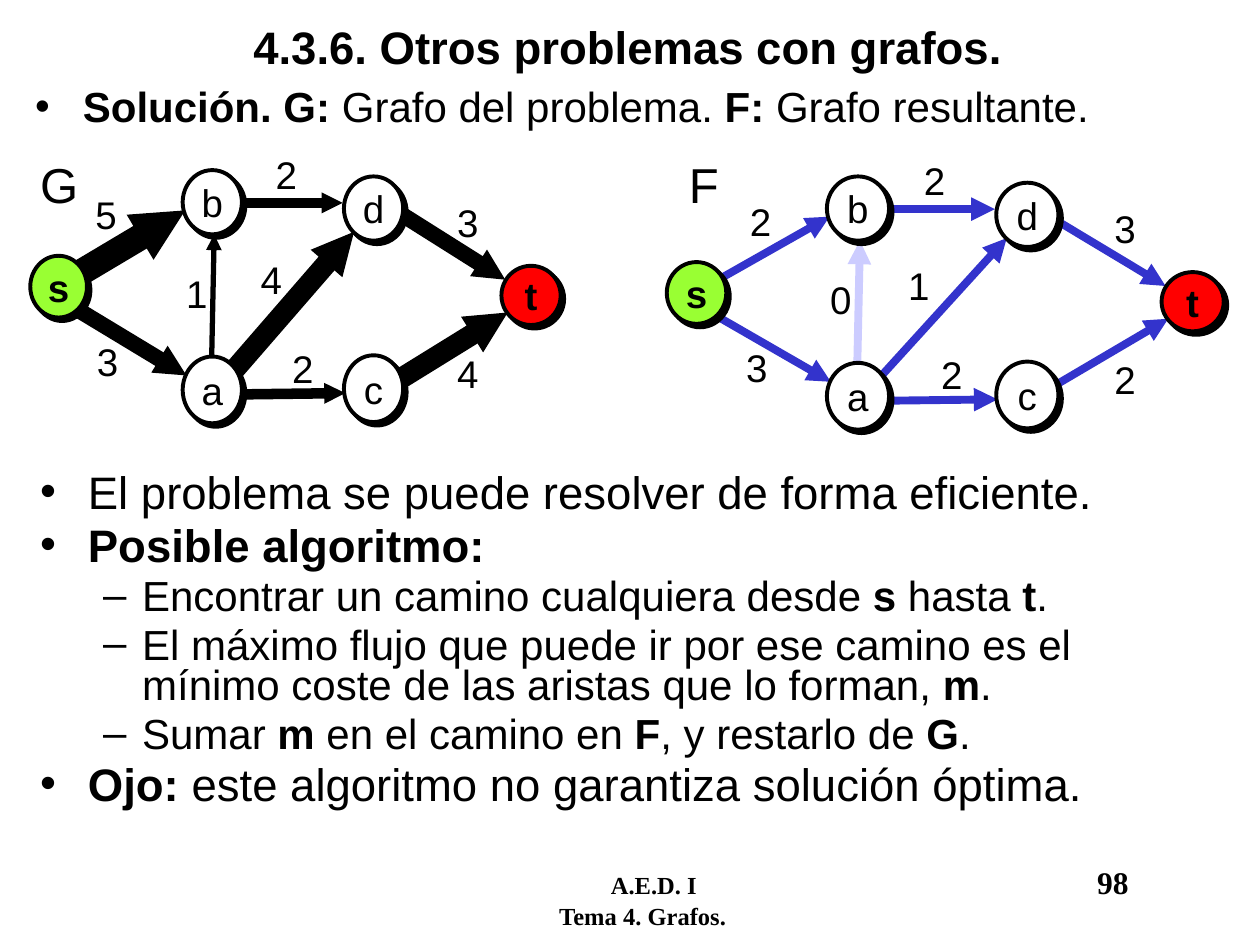
from dataclasses import dataclass

from lxml import etree
from pptx import Presentation
from pptx.dml.color import RGBColor
from pptx.enum.shapes import MSO_CONNECTOR, MSO_SHAPE
from pptx.enum.text import MSO_ANCHOR, PP_ALIGN
from pptx.oxml.ns import qn
from pptx.util import Inches, Pt

STRAIGHT, OVAL = MSO_CONNECTOR.STRAIGHT, MSO_SHAPE.OVAL
MIDDLE, TOP = MSO_ANCHOR.MIDDLE, MSO_ANCHOR.TOP
CENTER, LEFT = PP_ALIGN.CENTER, PP_ALIGN.LEFT

BLACK = RGBColor(0x00, 0x00, 0x00)
WHITE = RGBColor(0xFF, 0xFF, 0xFF)
GREEN = RGBColor(0x99, 0xFF, 0x33)
RED = RGBColor(0xFF, 0x00, 0x00)
BLUE = RGBColor(0x33, 0x33, 0xCC)
PALE_BLUE = RGBColor(0xCC, 0xCC, 0xFF)
SANS, SERIF = "Arial", "Times New Roman"


@dataclass
class Node:
    name: str
    left: float
    top: float
    width: float
    height: float
    fill: RGBColor = WHITE


@dataclass
class Edge:
    start: tuple[float, float]
    end: tuple[float, float]
    label: tuple[float, float]


@dataclass
class Flow:
    value: str
    width: float
    color: RGBColor = BLACK
    label_dx: float = 0


@dataclass
class Graph:
    name: str
    flows: list[Flow]
    dx: float = 0
    dy: float = 0
    scale: float = 1

    def x(self, value: float) -> int:
        return Inches(self.dx + self.scale * value)

    def y(self, value: float) -> int:
        return Inches(self.dy + value)


@dataclass
class Item:
    text: str  # ** switches bold on and off
    size: int
    level: int = 0


# Both graphs share this layout
NODES = [
    Node("s", 0.24, 2.03, 0.45, 0.49, GREEN),
    Node("t", 3.98, 2.11, 0.47, 0.47, RED),
    Node("a", 1.45, 2.83, 0.47, 0.53),
    Node("c", 2.73, 2.82, 0.47, 0.53),
    Node("b", 1.45, 1.35, 0.47, 0.51),
    Node("d", 2.73, 1.40, 0.47, 0.51),
]
EDGES = [
    Edge((0.62, 2.46), (1.48, 2.98), (0.67, 2.63)),  # s-a
    Edge((0.63, 2.17), (1.47, 1.67), (0.66, 1.47)),  # s-b
    Edge((1.68, 2.84), (1.70, 1.86), (1.38, 2.09)),  # a-b
    Edge((1.83, 2.97), (2.81, 1.84), (1.97, 1.98)),  # a-d
    Edge((1.91, 1.61), (2.72, 1.61), (2.09, 1.15)),  # b-d
    Edge((1.93, 3.13), (2.74, 3.12), (2.22, 2.69)),  # a-c
    Edge((3.14, 3.03), (4.03, 2.48), (3.53, 2.73)),  # c-t
    Edge((3.17, 1.69), (4.01, 2.22), (3.53, 1.53)),  # d-t
]
PROBLEM = Graph("G", [
    Flow("3", 9), Flow("5", 15), Flow("1", 3), Flow("4", 12),
    Flow("2", 6), Flow("2", 6), Flow("4", 12), Flow("3", 9),
])
RESULT = Graph("F", [
    Flow("3", 4.5, BLUE, 0.08), Flow("2", 4.5, BLUE, 0.12),
    Flow("0", 4.5, PALE_BLUE), Flow("1", 4.5, BLUE),
    Flow("2", 4.5, BLUE), Flow("2", 4.5, BLUE),
    Flow("2", 4.5, BLUE), Flow("3", 4.5, BLUE),
], dx=5.04, dy=0.05, scale=1.05)

SOLUTION = [Item("**Solución. G: **Grafo del problema.** F:** Grafo resultante.", 24)]
ALGORITHM = [
    Item("El problema se puede resolver de forma eficiente.", 26),
    Item("**Posible algoritmo:**", 26),
    Item("Encontrar un camino cualquiera desde **s** hasta **t**.", 24, 1),
    Item("El máximo flujo que puede ir por ese camino es el mínimo coste "
         "de las aristas que lo forman, **m**.", 24, 1),
    Item("Sumar **m** en el camino en **F**, y restarlo de **G**.", 24, 1),
    Item("**Ojo:** este algoritmo no garantiza solución óptima.", 26),
]
BULLETS = [("•", 0.38, -0.38), ("–", 0.81, -0.31)]  # by level


def style(r, size: float, bold: bool = False, font: str = SANS) -> None:
    r.font.name, r.font.size, r.font.bold = font, Pt(size), bold
    r.font.color.rgb = BLACK


def add_text(shapes, box, text, size, bold=False, align=LEFT, anchor=TOP) -> None:
    tf = shapes.add_textbox(*box).text_frame
    tf.word_wrap, tf.vertical_anchor, tf.text = True, anchor, text
    p = tf.paragraphs[0]
    p.alignment = align
    style(p.runs[0], size, bold)


def add_bullets(shapes, box, items: list[Item]) -> None:
    tf = shapes.add_textbox(*box).text_frame
    tf.word_wrap = True
    for i, item in enumerate(items):
        p = tf.add_paragraph() if i else tf.paragraphs[0]
        mark, margin, indent = BULLETS[item.level]
        p.level, p.line_spacing = item.level, 0.8
        if i:
            p.space_before = Pt(0.2 * item.size)
        pPr = p._p.get_or_add_pPr()
        pPr.set("marL", str(Inches(margin)))
        pPr.set("indent", str(Inches(indent)))
        etree.SubElement(pPr, qn("a:buFont"), typeface=SANS)
        etree.SubElement(pPr, qn("a:buChar"), char=mark)
        for j, part in enumerate(item.text.split("**")):
            if part:
                r = p.add_run()
                r.text = part
                style(r, item.size, j % 2 == 1)


def add_arrow(shapes, graph: Graph, edge: Edge, flow: Flow) -> None:
    (x1, y1), (x2, y2) = edge.start, edge.end
    line = shapes.add_connector(STRAIGHT, graph.x(x1), graph.y(y1),
                                graph.x(x2), graph.y(y2))
    line.line.color.rgb, line.line.width = flow.color, Pt(flow.width)
    head = "sm" if flow.width >= 6 else "med"  # thick lines get compact heads
    etree.SubElement(line.line._get_or_add_ln(), qn("a:tailEnd"),
                     type="triangle", w=head, len=head)
    etree.SubElement(line._element.spPr, qn("a:effectLst"))


def add_node(shapes, graph: Graph, node: Node) -> None:
    sp = shapes.add_shape(OVAL, graph.x(node.left), graph.y(node.top),
                          Inches(node.width * graph.scale), Inches(node.height))
    sp.fill.solid()
    sp.fill.fore_color.rgb = node.fill
    sp.line.color.rgb, sp.line.width = BLACK, Pt(2.25)
    # Hard black shadow down to the right
    sp.shadow.inherit = False
    effects = sp._element.spPr.find(qn("a:effectLst"))
    shadow = etree.SubElement(effects, qn("a:outerShdw"), dist=str(Pt(2.8)),
                              dir="2700000", algn="ctr", rotWithShape="0")
    etree.SubElement(shadow, qn("a:srgbClr"), val=str(BLACK))
    tf = sp.text_frame
    tf.word_wrap, tf.vertical_anchor, tf.text = False, MIDDLE, node.name
    p = tf.paragraphs[0]
    p.alignment = CENTER
    style(p.runs[0], 22, node.fill != WHITE)


def draw_graph(shapes, graph: Graph) -> None:
    for edge, flow in zip(EDGES, graph.flows):
        add_arrow(shapes, graph, edge, flow)
    for edge, flow in zip(EDGES, graph.flows):
        x, y = edge.label
        add_text(shapes, (graph.x(x) + Inches(flow.label_dx), graph.y(y),
                          Inches(0.37 * graph.scale), Inches(0.47)), flow.value, 22)
    for node in NODES:
        add_node(shapes, graph, node)


def add_footer(shapes) -> None:
    tf = shapes.add_textbox(Inches(3.62), Inches(6.8), Inches(5.8), Inches(0.5)).text_frame
    tf.word_wrap = True
    lines = [([("\tA.E.D. I\t", 14), ("98", 18)], (1.13, 4.99)),
             ([("\tTema 4. Grafos.", 14)], (0.72,))]
    for i, (parts, stops) in enumerate(lines):
        p = tf.add_paragraph() if i else tf.paragraphs[0]
        tabs = etree.SubElement(p._p.get_or_add_pPr(), qn("a:tabLst"))
        for stop in stops:
            etree.SubElement(tabs, qn("a:tab"), pos=str(Inches(stop)), algn="l")
        for text, size in parts:
            r = p.add_run()
            r.text = text
            style(r, size, True, SERIF)


def main() -> None:
    prs = Presentation()
    prs.slide_width, prs.slide_height = Inches(10), Inches(7.5)
    shapes = prs.slides.add_slide(prs.slide_layouts[6]).shapes
    # Footer, title and opening line
    add_footer(shapes)
    add_text(shapes, (Inches(0.32), 0, Inches(9.33), Inches(0.73)),
             "4.3.6. Otros problemas con grafos.", 26, True, CENTER, MIDDLE)
    add_bullets(shapes, (Inches(0.18), Inches(0.67), Inches(9.56), Inches(0.7)), SOLUTION)
    # Graphs with their names
    for graph, left in ((PROBLEM, 0.22), (RESULT, 5.37)):
        draw_graph(shapes, graph)
        add_text(shapes, (Inches(left), Inches(1.18), Inches(0.6), Inches(0.57)),
                 graph.name, 28)
    # Algorithm
    add_bullets(shapes, (Inches(0.22), Inches(3.72), Inches(9.56), Inches(2.97)), ALGORITHM)
    prs.save("out.pptx")


if __name__ == "__main__":
    main()
